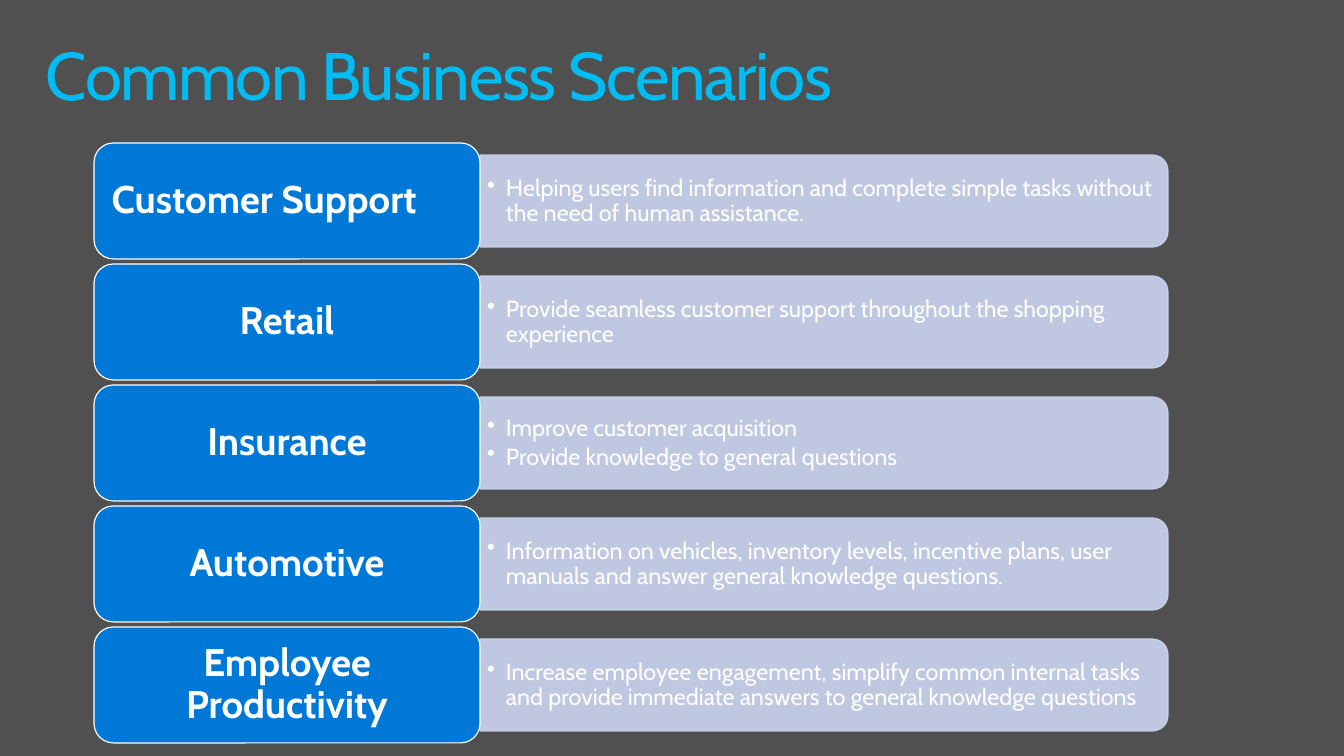
from lxml import etree
from pptx import Presentation
from pptx.dml.color import RGBColor
from pptx.enum import shapes, text
from pptx.oxml import ns
from pptx.util import Pt

PX = 9255  # EMU per px
BACKGROUND = RGBColor(0x50, 0x50, 0x50)
CYAN = RGBColor(0x00, 0xBC, 0xF2)
BLUE = RGBColor(0x00, 0x78, 0xD7)
LAVENDER = RGBColor(0xCC, 0xD6, 0xF0)
WHITE = RGBColor(0xFF, 0xFF, 0xFF)

SCENARIOS = [
    ("Customer Support", ["Helping users find information and complete simple tasks "
                          "without the need of human assistance."]),
    ("Retail", ["Provide seamless customer support throughout the shopping experience"]),
    ("Insurance", ["Improve customer acquisition", "Provide knowledge to general questions"]),
    ("Automotive", ["Information on vehicles, inventory levels, incentive plans, "
                    "user manuals and answer general knowledge questions."]),
    ("Employee Productivity", ["Increase employee engagement, simplify common internal tasks "
                               "and provide immediate answers to general knowledge questions"]),
]
CARD_LEFT, CARD_TOP, CARD_W, CARD_H, ROW_STEP = 94, 143, 386, 116, 121
PANEL_LEFT, PANEL_W, PANEL_H = 480, 688, 92
DETAIL_W, DETAIL_H = 683, 83


def set_frame(frame, anchor, inset_x, inset_y):
    frame.word_wrap = True
    frame.auto_size = text.MSO_AUTO_SIZE.NONE
    frame.vertical_anchor = anchor
    frame.margin_left = frame.margin_right = inset_x * PX
    frame.margin_top = frame.margin_bottom = inset_y * PX


def set_font(paragraph, size, color, bold=False):
    paragraph.line_spacing = 0.9
    paragraph.font.name = "Cabin"
    paragraph.font.size = Pt(size)
    paragraph.font.bold = bold
    paragraph.font.color.rgb = color


prs = Presentation()
prs.slide_width, prs.slide_height = 1344 * PX, 756 * PX
slide = prs.slides.add_slide(prs.slide_layouts[5])
slide.background.fill.solid()
slide.background.fill.fore_color.rgb = BACKGROUND

# Title
title = slide.shapes.title
title.left, title.top, title.width, title.height = (v * PX for v in (30, 32, 1284, 99))
set_frame(title.text_frame, text.MSO_ANCHOR.TOP, 16, 10)
heading = title.text_frame.paragraphs[0]
heading.alignment = text.PP_ALIGN.LEFT
heading_run = heading.add_run()
heading_run.text = "Common Business Scenarios"
heading_run._r.get_or_add_rPr().set("spc", "-100")
set_font(heading, 49, CYAN)

# One row per scenario: panel, details, name card
for row, (scenario, details) in enumerate(SCENARIOS):
    card_top = CARD_TOP + row * ROW_STEP
    middle = card_top + CARD_H // 2

    # The panel is turned so that its rounded corners face right
    panel = slide.shapes.add_shape(
        shapes.MSO_SHAPE.ROUND_2_SAME_RECTANGLE,
        (PANEL_LEFT + (PANEL_W - PANEL_H) // 2) * PX, (middle - PANEL_W // 2) * PX,
        PANEL_H * PX, PANEL_W * PX)
    panel.rotation = 90
    panel.shadow.inherit = False
    panel.fill.solid()
    panel.fill.fore_color.rgb = LAVENDER
    panel.line.color.rgb = LAVENDER
    panel.line.width = Pt(0.85)
    for color in panel._element.spPr.iter(ns.qn("a:srgbClr")):
        etree.SubElement(color, ns.qn("a:alpha"), val="90000")

    # Bulleted details
    detail_box = slide.shapes.add_textbox(
        PANEL_LEFT * PX, (middle - DETAIL_H // 2) * PX, DETAIL_W * PX, DETAIL_H * PX)
    frame = detail_box.text_frame
    set_frame(frame, text.MSO_ANCHOR.MIDDLE, 7, 4)
    frame.text = "\n".join(details)
    for detail in frame.paragraphs:
        props = detail._p.get_or_add_pPr()
        props.set("marL", str(19 * PX))
        props.set("indent", str(-19 * PX))
        etree.SubElement(props, ns.qn("a:buChar"), char="•")
        detail.space_after = Pt(2.5)
        set_font(detail, 17, WHITE)

    # Name card
    card = slide.shapes.add_shape(
        shapes.MSO_SHAPE.ROUNDED_RECTANGLE,
        CARD_LEFT * PX, card_top * PX, CARD_W * PX, CARD_H * PX)
    card.shadow.inherit = False
    card.fill.solid()
    card.fill.fore_color.rgb = BLUE
    card.line.color.rgb = WHITE
    card.line.width = Pt(0.85)
    set_frame(card.text_frame, text.MSO_ANCHOR.MIDDLE, 12, 6)
    name = card.text_frame.paragraphs[0]
    name.text = scenario
    name.alignment = text.PP_ALIGN.LEFT if row == 0 else text.PP_ALIGN.CENTER
    set_font(name, 28, WHITE, bold=True)

prs.save("out.pptx")
